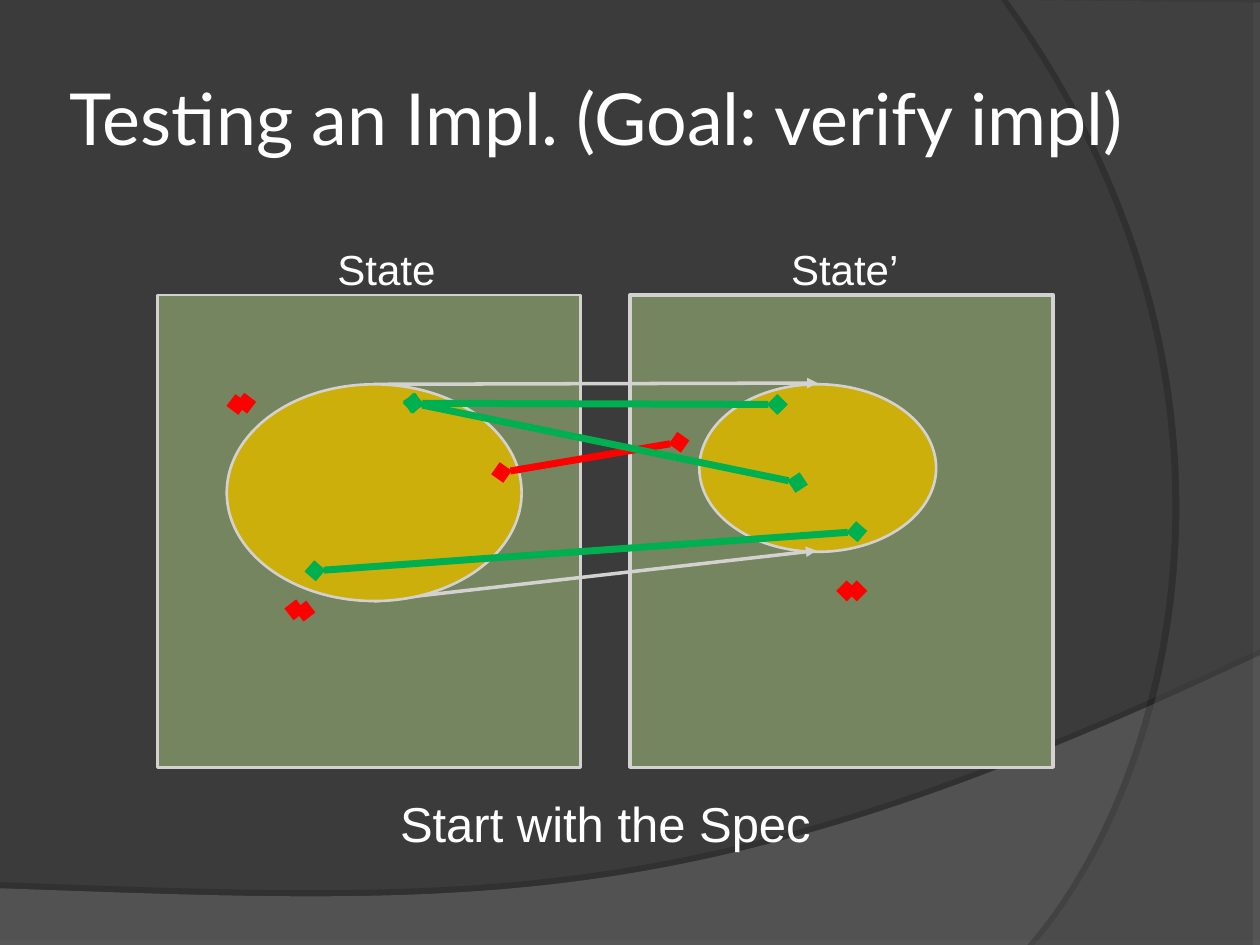
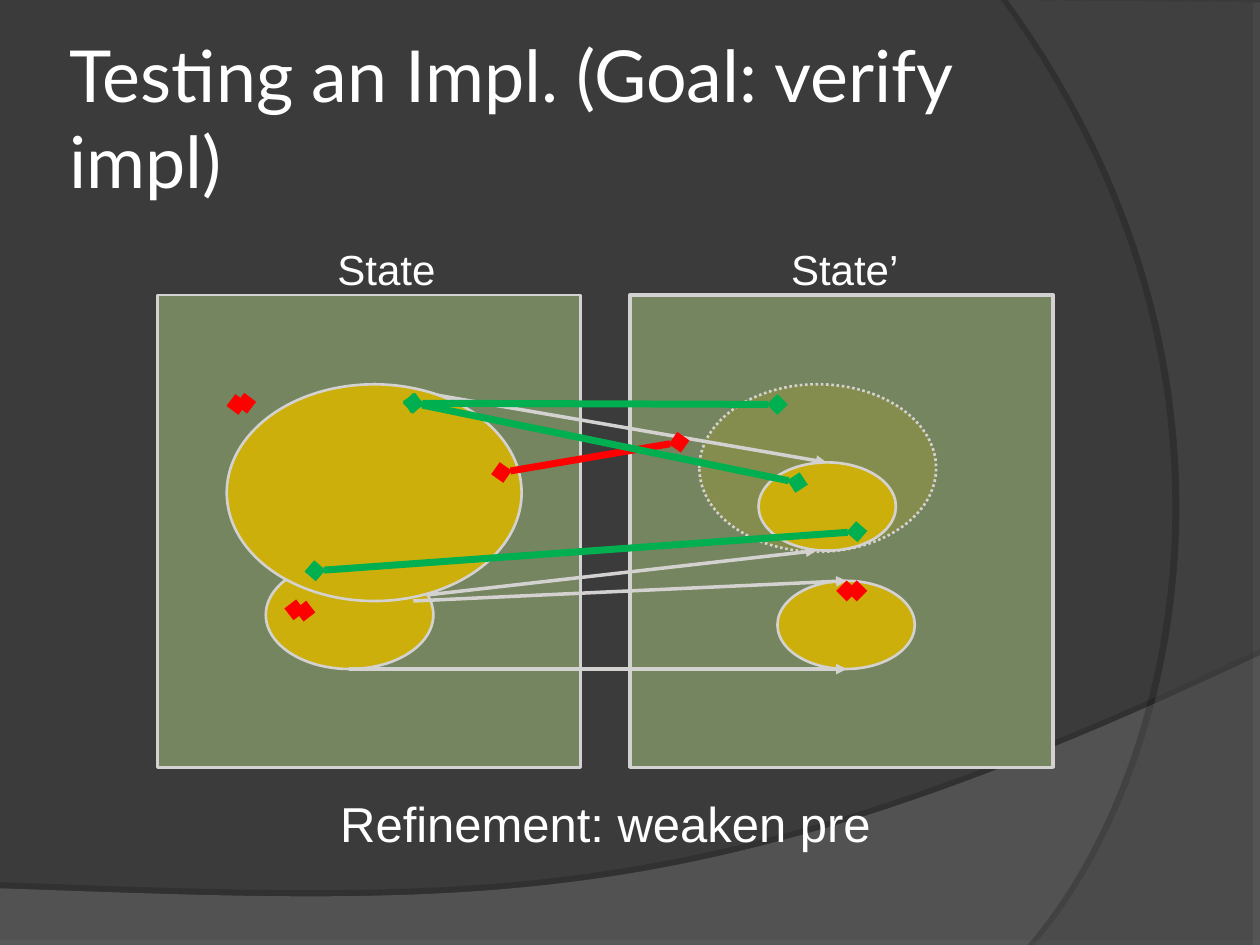
from lxml import etree
from pptx import Presentation
from pptx.dml.color import RGBColor
from pptx.enum.dml import MSO_LINE
from pptx.enum.shapes import MSO_CONNECTOR, MSO_SHAPE
from pptx.enum.text import MSO_ANCHOR, PP_ALIGN
from pptx.oxml.ns import qn
from pptx.util import Inches, Pt

BACKGROUND = RGBColor(0x3B, 0x3B, 0x3B)
LOWER_BAND = RGBColor(0x7C, 0x7C, 0x7C)
RIGHT_BAND = RGBColor(0x59, 0x59, 0x59)
WHITE = RGBColor(0xFF, 0xFF, 0xFF)
OLIVE = RGBColor(0x74, 0x85, 0x60)
GOLD = RGBColor(0xCC, 0xAF, 0x0A)
OUTLINE = RGBColor(0xD4, 0xD2, 0xD0)
GREEN = RGBColor(0x00, 0xB0, 0x50)
RED = RGBColor(0xFF, 0x00, 0x00)

TITLE = "Testing an Impl. (Goal: verify impl)"
PRE_STATES = (1.8, 3.05, 2.34, 1.72)
POST_STATES = (5.55, 3.05, 1.88, 1.33)
PRE_BOTTOM_ARROW = ((2.97, 4.77), (6.48, 4.37))
TEST_RUNS = [
    ((3.28, 3.2), (6.17, 3.21), GREEN),
    ((2.5, 4.53), (6.8, 4.22), GREEN),
    ((1.95, 3.2), (1.88, 3.21), RED),
    ((2.42, 4.85), (2.34, 4.84), RED),
    ((3.98, 3.75), (5.39, 3.51), RED),
    ((6.8, 4.69), (6.72, 4.69), RED),
    ((3.28, 3.2), (6.33, 3.83), GREEN),
]


def add_child(parent, tag, **attributes):
    child = etree.SubElement(parent, qn(tag))
    for name, value in attributes.items():
        child.set(name, str(value))
    return child


def set_opacity(shape, percent):
    color = shape.fill._xPr.find(qn("a:solidFill"))[0]
    add_child(color, "a:alpha", val=percent * 1000)


def add_text(slide, text, box, size, font="Arial", align=PP_ALIGN.LEFT,
             anchor=MSO_ANCHOR.TOP, side_inset=0.1, wrap=True):
    shape = slide.shapes.add_textbox(*map(Inches, box))
    frame = shape.text_frame
    frame.word_wrap = wrap
    frame.vertical_anchor = anchor
    frame.margin_left = frame.margin_right = Inches(side_inset)
    paragraph = frame.paragraphs[0]
    paragraph.text = text
    paragraph.alignment = align
    paragraph.font.size = Pt(size)
    paragraph.font.name = font
    paragraph.font.color.rgb = WHITE


def add_outlined(slide, kind, box, color, width=1.5, opacity=100, dash=None):
    shape = slide.shapes.add_shape(kind, *map(Inches, box))
    shape.shadow.inherit = False
    shape.fill.solid()
    shape.fill.fore_color.rgb = color
    if opacity < 100:
        set_opacity(shape, opacity)
    shape.line.color.rgb = OUTLINE
    shape.line.width = Pt(width)
    if dash:
        shape.line.dash_style = dash


def add_states(slide, box, **style):
    add_outlined(slide, MSO_SHAPE.OVAL, box, GOLD, **style)


def add_line(slide, start, end, color, width, head=None, tail=None):
    connector = slide.shapes.add_connector(
        MSO_CONNECTOR.STRAIGHT, *map(Inches, (*start, *end)))
    connector.line.color.rgb = color
    connector.line.width = Pt(width)
    properties = connector._element.spPr
    line = properties.find(qn("a:ln"))
    for tag, kind in (("a:headEnd", head), ("a:tailEnd", tail)):
        if kind:
            add_child(line, tag, type=kind)
    add_child(properties, "a:effectLst")


def add_arrow(slide, start, end):
    add_line(slide, start, end, OUTLINE, 2, tail="triangle")


def curve_points(start, control1, control2, end, steps=60):
    points = []
    for step in range(1, steps + 1):
        t = step / steps
        weights = ((1 - t) ** 3, 3 * t * (1 - t) ** 2, 3 * t * t * (1 - t), t ** 3)
        corners = zip(start, control1, control2, end)
        points.append(tuple(sum(w * c for w, c in zip(weights, axis))
                            for axis in corners))
    return points


def add_band(slide, corners, curve, color, opacity, shadow_opacity,
             shadow_distance, shadow_angle):
    points = corners + curve_points(corners[-1], *curve)
    builder = slide.shapes.build_freeform(*map(Inches, points[0]))
    builder.add_line_segments(
        [(Inches(x), Inches(y)) for x, y in points[1:]], close=True)
    band = builder.convert_to_shape()
    band.fill.solid()
    band.fill.fore_color.rgb = color
    set_opacity(band, opacity)
    band.line.fill.background()
    band.shadow.inherit = False
    effects = band._element.spPr.find(qn("a:effectLst"))
    shadow = add_child(effects, "a:outerShdw", blurRad=0,
                       dist=Pt(shadow_distance), dir=shadow_angle * 60000,
                       algn="ctr", rotWithShape=0)
    shadow_color = add_child(shadow, "a:srgbClr", val="000000")
    add_child(shadow_color, "a:alpha", val=shadow_opacity * 1000)


def add_state_slide(presentation, title_width, caption):
    slide = presentation.slides.add_slide(presentation.slide_layouts[6])
    slide.background.fill.solid()
    slide.background.fill.fore_color.rgb = BACKGROUND
    add_band(slide, [(0, 7.05), (0, 7.51), (10, 7.51), (10, 5.2)],
             [(5.59, 7.29), (3.91, 7.19), (0, 7.05)],
             LOWER_BAND, 45, 35, 3.5, 270)
    add_band(slide, [(10, 0.02), (10, 7.5), (8.21, 7.5)],
             [(9.35, 6.19), (10.18, 3), (8, 0)],
             RIGHT_BAND, 40, 45, 4, 180)
    add_text(slide, TITLE, (0.5, 0.3, title_width, 1.25), 41, font="Lato",
             anchor=MSO_ANCHOR.MIDDLE, side_inset=0.05)
    for left, width in ((1.25, 1.5), (5, 2)):
        add_outlined(slide, MSO_SHAPE.RECTANGLE, (left, 2.34, 3.36, 3.75),
                     OLIVE, width)
    add_text(slide, "State", (2.58, 1.88, 0.98, 0.5), 24, wrap=False)
    add_text(slide, "State’", (6.18, 1.88, 1.05, 0.5), 24, wrap=False)
    add_text(slide, caption, (1.25, 6.25, 7.11, 0.57), 28,
             align=PP_ALIGN.CENTER)
    return slide


def add_test_runs(slide):
    for start, end, color in TEST_RUNS:
        add_line(slide, start, end, color, 4, head="diamond", tail="diamond")


def add_spec_slide(presentation):
    slide = add_state_slide(presentation, 8.88, "Start with the Spec")
    add_states(slide, POST_STATES)
    add_arrow(slide, (2.97, 3.05), (6.49, 3.04))
    add_arrow(slide, *PRE_BOTTOM_ARROW)
    add_states(slide, PRE_STATES)
    add_test_runs(slide)


def add_refinement_slide(presentation):
    slide = add_state_slide(presentation, 8.17, "Refinement: weaken pre")
    add_states(slide, POST_STATES, opacity=20, dash=MSO_LINE.ROUND_DOT)
    add_arrow(slide, (2.97, 3.05), (6.56, 3.67))
    add_arrow(slide, *PRE_BOTTOM_ARROW)
    add_states(slide, (6.02, 3.67, 1.09, 0.7))
    add_states(slide, (2.11, 4.45, 1.33, 0.86))
    add_states(slide, PRE_STATES)
    add_states(slide, (6.17, 4.61, 1.09, 0.7))
    add_arrow(slide, (2.77, 5.31), (6.72, 5.31))
    add_arrow(slide, (3.28, 4.77), (6.72, 4.61))
    add_test_runs(slide)


def main():
    presentation = Presentation()
    presentation.slide_width = Inches(10)
    presentation.slide_height = Inches(7.5)
    add_spec_slide(presentation)
    add_refinement_slide(presentation)
    presentation.save("out.pptx")


if __name__ == "__main__":
    main()
